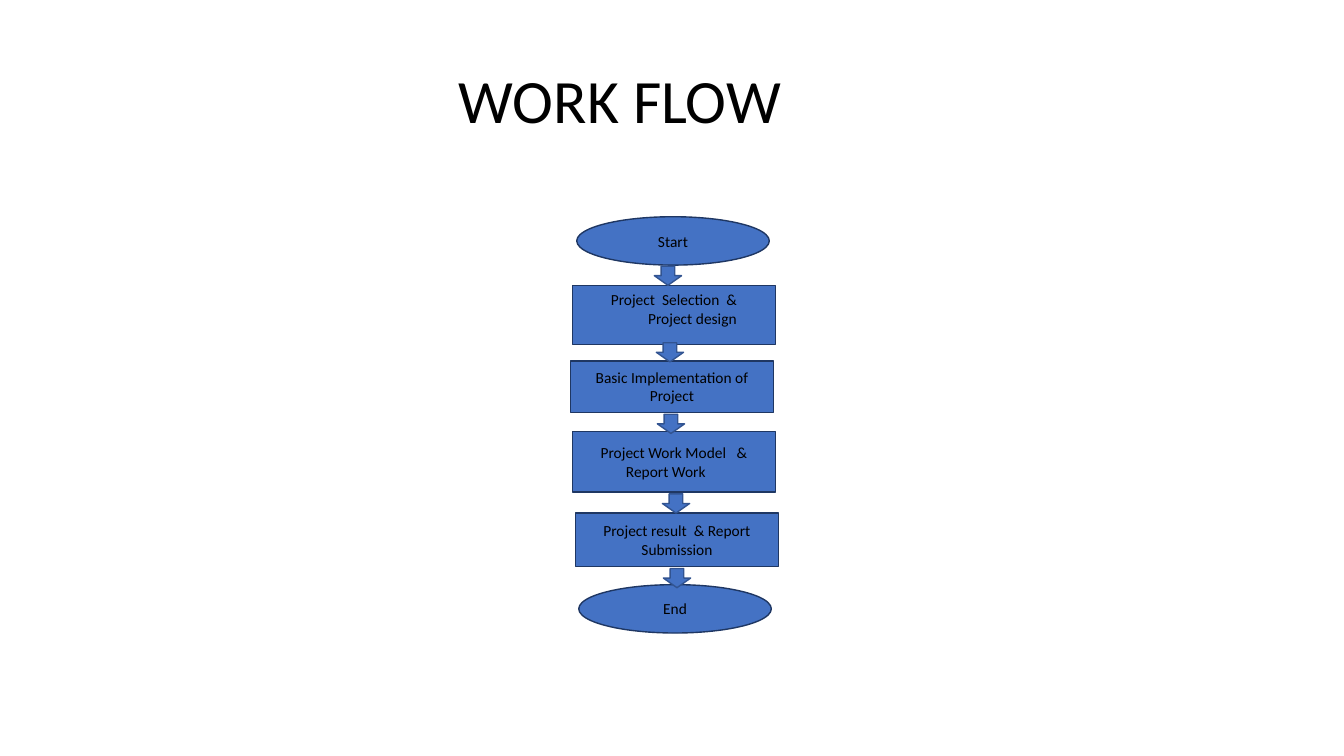
from typing import NamedTuple

from pptx import Presentation
from pptx.dml.color import RGBColor
from pptx.enum.shapes import MSO_SHAPE
from pptx.enum.text import MSO_ANCHOR, PP_ALIGN
from pptx.util import Inches, Pt

BLUE, NAVY, STEEL, BLACK = "4472C4", "1F3763", "325491", "000000"
OVAL, BOX, ARROW = MSO_SHAPE.OVAL, MSO_SHAPE.RECTANGLE, MSO_SHAPE.DOWN_ARROW
TOP, MIDDLE = MSO_ANCHOR.TOP, MSO_ANCHOR.MIDDLE


class Line(NamedTuple):
    text: str
    indent: float = 0  # inches; an indented line is left-aligned


class Step(NamedTuple):
    kind: MSO_SHAPE
    left: float
    top: float
    height: float
    lines: list[Line]
    anchor: MSO_ANCHOR = MIDDLE


class Link(NamedTuple):
    left: float
    top: float


WIDTHS = {OVAL: 1.91, BOX: 2.01}
STEPS = [
    Step(OVAL, 5.72, 2.15, 0.48, [Line("Start")]),
    Step(BOX, 5.68, 2.83, 0.59,
         [Line("Project  Selection  &"), Line("Project design", 0.65)], TOP),
    Step(BOX, 5.66, 3.58, 0.51, [Line("Basic Implementation of Project")]),
    Step(BOX, 5.68, 4.28, 0.6,
         [Line("Project Work Model   &"), Line("Report Work", 0.43)]),
    Step(BOX, 5.71, 5.09, 0.53, [Line("Project result  & Report Submission")]),
    Step(OVAL, 5.74, 5.8, 0.48, [Line("End")]),
]
LINKS = [Link(6.49, 2.64), Link(6.51, 3.4), Link(6.52, 4.11),
         Link(6.57, 4.9), Link(6.58, 5.64)]


def color(code: str) -> RGBColor:
    return RGBColor.from_string(code)


def write(frame, lines: list[Line], size: float, anchor: MSO_ANCHOR) -> None:
    frame.word_wrap = True
    frame.vertical_anchor = anchor
    for i, line in enumerate(lines):
        para = frame.add_paragraph() if i else frame.paragraphs[0]
        para.alignment = PP_ALIGN.LEFT if line.indent else PP_ALIGN.CENTER
        if line.indent:
            para._p.get_or_add_pPr().set("marL", str(Inches(line.indent)))
        run = para.add_run()
        run.text = line.text
        run.font.name = "Calibri"
        run.font.size = Pt(size)
        run.font.color.rgb = color(BLACK)


def draw(kind: MSO_SHAPE, left: float, top: float, width: float,
         height: float, edge: str):
    shape = slide.shapes.add_shape(kind, Inches(left), Inches(top),
                                   Inches(width), Inches(height))
    shape.shadow.inherit = False
    shape.fill.solid()
    shape.fill.fore_color.rgb = color(BLUE)
    shape.line.color.rgb = color(edge)
    shape.line.width = Pt(1)
    return shape


deck = Presentation()
deck.slide_width, deck.slide_height = Inches(13.33), Inches(7.5)
slide = deck.slides.add_slide(deck.slide_layouts[6])

# Steps of the flow
for step in STEPS:
    shape = draw(step.kind, step.left, step.top, WIDTHS[step.kind],
                 step.height, NAVY)
    write(shape.text_frame, step.lines, 11, step.anchor)

# Arrows between steps
for link in LINKS:
    draw(ARROW, link.left, link.top, 0.27, 0.19, STEEL)

# Title
title = slide.shapes.add_textbox(Inches(0.4), Inches(0.3),
                                 Inches(11.5), Inches(1.45))
write(title.text_frame, [Line("WORK FLOW")], 44, MIDDLE)
title.text_frame.paragraphs[0].line_spacing = 0.9

deck.save("out.pptx")
